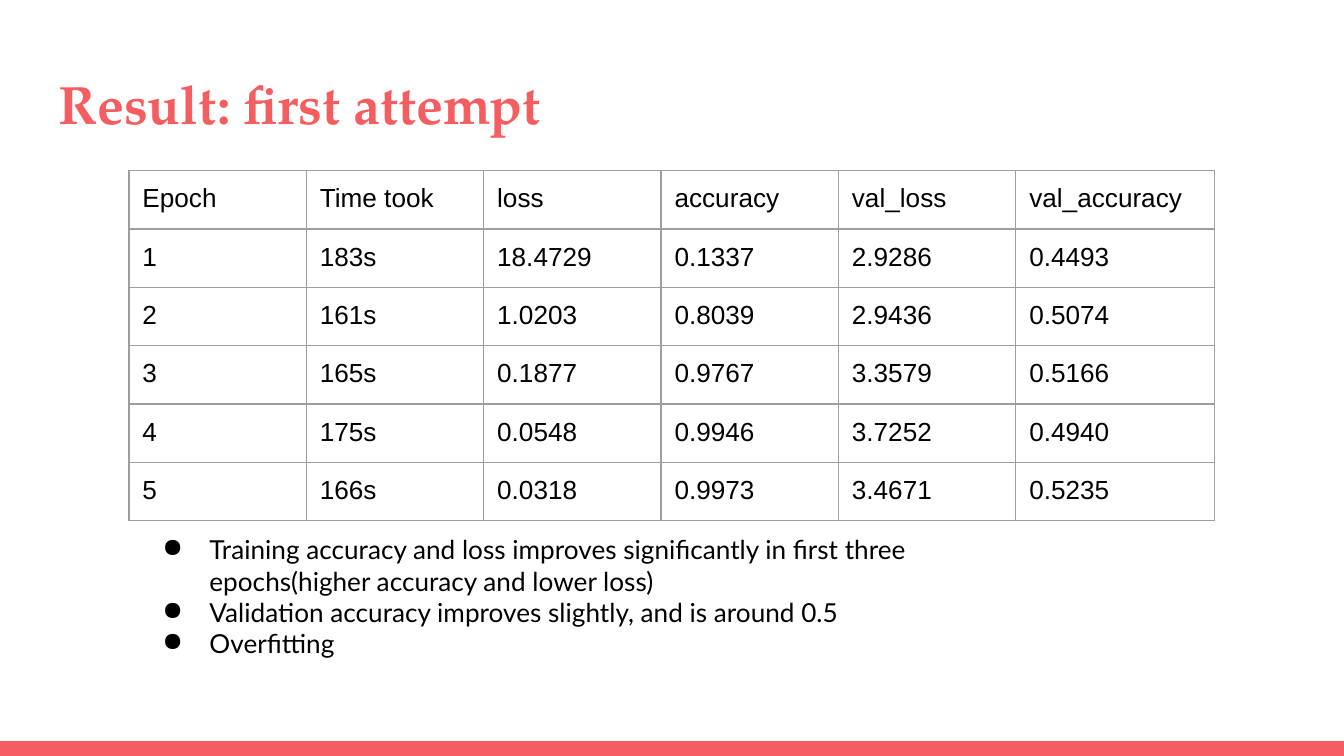
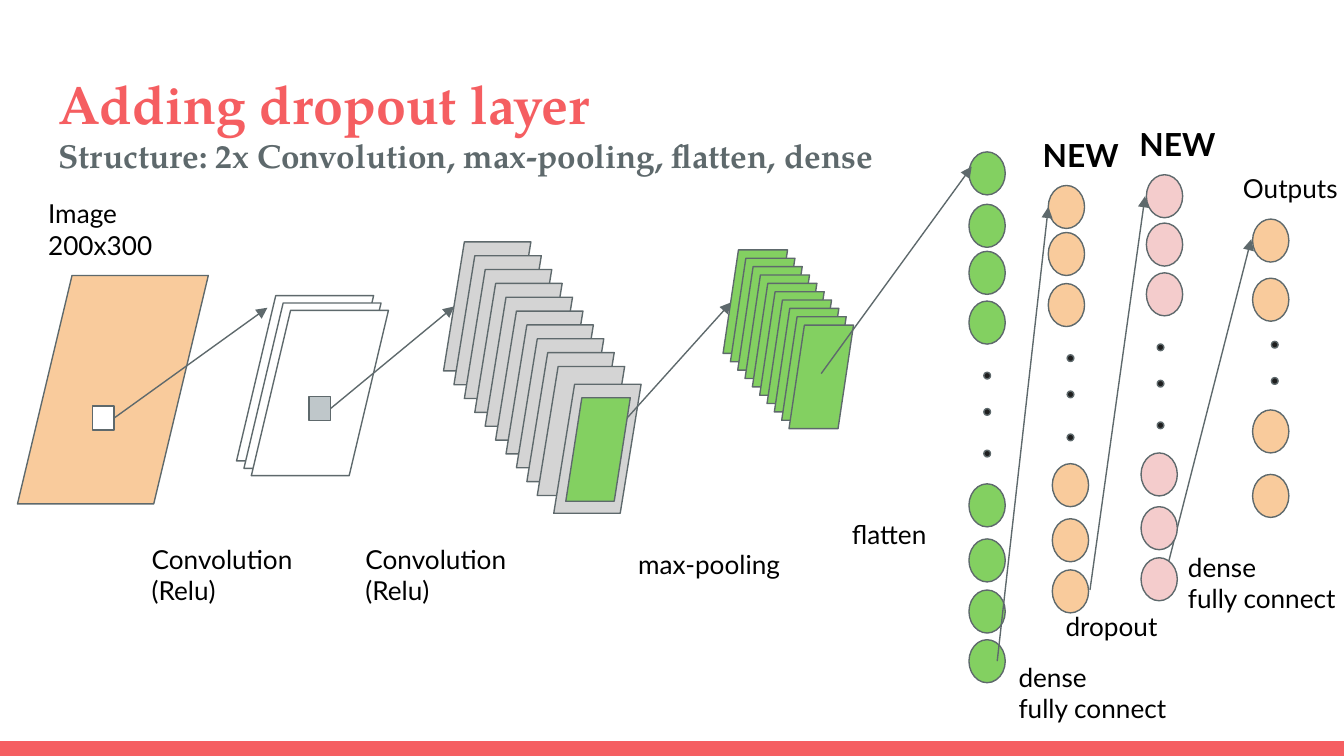
from dataclasses import dataclass

from lxml import etree
from pptx import Presentation
from pptx.dml.color import RGBColor
from pptx.enum.shapes import MSO_CONNECTOR, MSO_SHAPE
from pptx.oxml.ns import qn
from pptx.util import Inches, Pt

RECT = MSO_SHAPE.RECTANGLE
ELLIPSE = MSO_SHAPE.OVAL
PARALLELOGRAM = MSO_SHAPE.PARALLELOGRAM
STRAIGHT = MSO_CONNECTOR.STRAIGHT
RIGHT_SIDE = 3

CORAL = RGBColor(0xF5, 0x5E, 0x61)
SLATE = RGBColor(0x5E, 0x69, 0x6C)
BLACK = RGBColor(0, 0, 0)
WHITE = RGBColor(0xFF, 0xFF, 0xFF)
INK = RGBColor(0x1E, 0x1E, 0x1E)
SILVER = RGBColor(0xD4, 0xD4, 0xD4)
MIST = RGBColor(0xBF, 0xC7, 0xCA)
GREEN = RGBColor(0x83, 0xD0, 0x61)
ORANGE = RGBColor(0xF9, 0xCB, 0x9C)
PINK = RGBColor(0xF4, 0xCC, 0xCC)
BORDER = RGBColor(0x9E, 0x9E, 0x9E)

TITLE_FONT, BODY_FONT, TABLE_FONT = "TeX Gyre Pagella", "Lato", "Arial"
SLIDE_WIDTH = 10
SLIDE_HEIGHT = SLIDE_WIDTH * 9 / 16
BAND_HEIGHT = 0.11
TITLE_BOX = (0.34, 0.43, 9.32, 0.68)
INSET = Inches(0.1)
BODY_SIZE = 14
NODE_WIDTH, NODE_HEIGHT, DOT = 0.27, 0.32, 0.05

RESULTS = [
    ("Epoch", "Time took", "loss", "accuracy", "val_loss", "val_accuracy"),
    ("1", "183s", "18.4729", "0.1337", "2.9286", "0.4493"),
    ("2", "161s", "1.0203", "0.8039", "2.9436", "0.5074"),
    ("3", "165s", "0.1877", "0.9767", "3.3579", "0.5166"),
    ("4", "175s", "0.0548", "0.9946", "3.7252", "0.4940"),
    ("5", "166s", "0.0318", "0.9973", "3.4671", "0.5235"),
]
COLUMN_WIDTHS = (1.32, 1.32, 1.32, 1.32, 1.32, 1.48)
FINDINGS = [
    "Training accuracy and loss improves significantly in first three "
    "epochs(higher accuracy and lower loss)",
    "Validation accuracy improves slightly, and is around 0.5",
    "Overfitting",
]


@dataclass
class Layer:
    """A column of neurons; offsets count from its first neuron."""
    left: float
    top: float
    fill: RGBColor
    upper: tuple
    dots: tuple
    lower: tuple
    dot_shift: float
    lower_shift: float
    arrow_from: tuple
    arrow_to: tuple


# Drawn in this order so that each arrow starts behind or before its neuron.
LAYERS = [
    Layer(7.21, 1.13, GREEN, (0, 0.39, 0.74, 1.11), (1.64, 1.91, 2.22),
          (2.47, 2.88, 3.26, 3.63), 0.11, 0, (6.11, 2.78), (7.23, 1.24)),
    Layer(9.32, 1.63, ORANGE, (0, 0.44), (0.91, 1.18),
          (1.42, 1.9), 0.14, 0, (8.67, 4.28), (9.31, 1.78)),
    Layer(8.53, 1.3, PINK, (0, 0.36, 0.73), (1.26, 1.53, 1.84),
          (2.07, 2.47, 2.85), 0.08, -0.04, (8.11, 4.39), (8.52, 1.46)),
    Layer(7.8, 1.38, ORANGE, (0, 0.35, 0.73), (1.26, 1.53, 1.85),
          (2.07, 2.48, 2.86), 0.14, 0.03, (7.42, 4.92), (7.8, 1.54)),
]

LABELS = [
    (["Image 200x300"], (0.26, 1.37, 1.42, 0.67)),
    (["Convolution", "(Relu)"], (1.03, 3.94, 1.42, 0.67)),
    (["Convolution", "(Relu)"], (2.62, 3.94, 1.42, 0.67)),
    (["max-pooling"], (4.65, 3.98, 1.42, 0.44)),
    (["flatten"], (6.24, 3.76, 1.42, 0.44)),
    (["dense", "fully connect"], (7.48, 4.82, 1.42, 0.67)),
    (["dropout"], (7.83, 4.44, 1.13, 0.44)),
    (["dense", "fully connect"], (8.74, 4, 1.42, 0.67)),
    (["Outputs"], (9.15, 1.18, 1.36, 1.14)),
]
NEW_BADGES = [(7.66, 0.91, 0.86, 0.49), (8.38, 0.83, 0.86, 0.49)]


def inches(box):
    return [Inches(value) for value in box]


def set_font(text, name, size, color=BLACK, bold=False):
    """Set the font of a paragraph or a run."""
    font = text.font
    font.name, font.size, font.bold = name, Pt(size), bold
    font.color.rgb = color


def add_text(slide, box, lines, font=BODY_FONT, size=BODY_SIZE, color=BLACK, bold=False):
    frame = slide.shapes.add_textbox(*inches(box)).text_frame
    frame.word_wrap = True
    frame.margin_left = frame.margin_right = INSET
    frame.margin_top = frame.margin_bottom = INSET
    frame.text = "\n".join(lines)
    for paragraph in frame.paragraphs:
        set_font(paragraph, font, size, color, bold)
    return frame


def add_block(slide, kind, box, fill, slant=None, outlined=True):
    block = slide.shapes.add_shape(kind, *inches(box))
    block.shadow.inherit = False
    block.fill.solid()
    block.fill.fore_color.rgb = fill
    if outlined:
        block.line.color.rgb = SLATE
        block.line.width = Pt(0.75)
    else:
        block.line.fill.background()
    if slant is not None:
        block.adjustments[0] = slant
    return block


def add_arrow(slide, start, end, source=None):
    """Draw an arrow, joined to the right side of source if one is given."""
    arrow = slide.shapes.add_connector(STRAIGHT, *inches(start + end))
    if source is not None:
        arrow.begin_connect(source, RIGHT_SIDE)
    arrow.line.color.rgb = SLATE
    arrow.line.width = Pt(0.75)
    etree.SubElement(arrow.line._get_or_add_ln(), qn("a:tailEnd"), type="triangle")
    etree.SubElement(arrow._element.spPr, qn("a:effectLst"))


def add_base_slide(deck, title, subtitle=None):
    """Start a slide with the shared footer band and title."""
    slide = deck.slides.add_slide(deck.slide_layouts[6])
    band = (0, SLIDE_HEIGHT - BAND_HEIGHT, SLIDE_WIDTH, BAND_HEIGHT)
    add_block(slide, RECT, band, CORAL, outlined=False)
    lines = [title] if subtitle is None else [title, subtitle]
    frame = add_text(slide, TITLE_BOX, lines, TITLE_FONT, 28.8, CORAL, True)
    if subtitle is not None:
        set_font(frame.paragraphs[1], TITLE_FONT, 17.8, SLATE, True)
    return slide


def style_cell(cell, text):
    cell.text = text
    cell.margin_left = cell.margin_right = INSET
    cell.margin_top = cell.margin_bottom = INSET
    # The row height follows the font of the run.
    set_font(cell.text_frame.paragraphs[0].runs[0], TABLE_FONT, BODY_SIZE)
    cell.fill.background()
    properties = cell._tc.get_or_add_tcPr()
    for position, side in enumerate(("a:lnL", "a:lnR", "a:lnT", "a:lnB")):
        edge = etree.Element(qn(side), w=str(Pt(0.75)))
        fill = etree.SubElement(edge, qn("a:solidFill"))
        etree.SubElement(fill, qn("a:srgbClr"), val=str(BORDER))
        properties.insert(position, edge)


def add_results_table(slide, box):
    table = slide.shapes.add_table(len(RESULTS), len(COLUMN_WIDTHS), *inches(box)).table
    table.first_row = table.horz_banding = False
    for column, width in zip(table.columns, COLUMN_WIDTHS):
        column.width = Inches(width)
    for row, values in enumerate(RESULTS):
        for column, value in enumerate(values):
            style_cell(table.cell(row, column), value)


def add_findings(slide, box):
    for paragraph in add_text(slide, box, FINDINGS).paragraphs:
        # The bullet takes its size from the run.
        set_font(paragraph.runs[0], BODY_FONT, BODY_SIZE)
        properties = paragraph._p.get_or_add_pPr()
        properties.set("marL", str(Inches(0.5)))
        properties.set("indent", str(Inches(-0.35)))
        color = etree.Element(qn("a:buClr"))
        etree.SubElement(color, qn("a:srgbClr"), val=str(BLACK))
        properties.insert(0, color)
        properties.insert(1, etree.Element(qn("a:buChar"), char="●"))


def add_stack(slide, box, count, step, fill, slant):
    """Draw count feature maps, each one step right and down of the last."""
    left, top, width, height = box
    for index in range(count):
        place = (left + index * step[0], top + index * step[1], width, height)
        add_block(slide, PARALLELOGRAM, place, fill, slant)


def add_layer(slide, layer):
    neurons = [(0, offset) for offset in layer.upper]
    neurons += [(layer.lower_shift, offset) for offset in layer.lower]
    for shift, offset in neurons:
        place = (layer.left + shift, layer.top + offset, NODE_WIDTH, NODE_HEIGHT)
        add_block(slide, ELLIPSE, place, layer.fill)
    for offset in layer.dots:
        place = (layer.left + layer.dot_shift, layer.top + offset, DOT, DOT)
        add_block(slide, ELLIPSE, place, INK)
    add_arrow(slide, layer.arrow_from, layer.arrow_to)


def add_convolutions(slide, left, top):
    """Draw the input image, the feature maps and the pooled maps."""
    def at(x, y, *size):
        return (left + x, top + y, *size)

    add_block(slide, PARALLELOGRAM, at(0, 0.25, 1.42, 1.7), ORANGE, 0.286)
    add_stack(slide, at(1.63, 0.4, 1.02, 1.23), 3, (0.055, 0.055), WHITE, 0.286)
    add_stack(slide, at(3.17, 0, 0.65, 0.96), 10, (0.0775, 0.103), SILVER, 0.239)
    add_block(slide, PARALLELOGRAM, at(3.99, 1.06, 0.65, 0.96), SILVER, 0.239)
    add_stack(slide, at(5.25, 0.06, 0.48, 0.77), 10, (0.0545, 0.0622), GREEN, 0.239)

    image_window = add_block(slide, RECT, at(0.56, 1.22, 0.16, 0.18), WHITE)
    map_window = add_block(slide, RECT, at(2.17, 1.15, 0.16, 0.18), MIST)
    add_arrow(slide, at(0.72, 1.31), at(1.86, 0.49), image_window)
    add_arrow(slide, at(2.33, 1.24), at(3.25, 0.48), map_window)
    add_arrow(slide, at(4.32, 1.55), at(5.31, 0.45))
    add_block(slide, PARALLELOGRAM, at(4.08, 1.16, 0.48, 0.77), GREEN, 0.249)


def build_results_slide(deck):
    slide = add_base_slide(deck, "Result: first attempt")
    add_results_table(slide, (0.96, 1.27, sum(COLUMN_WIDTHS), 2.51))
    add_findings(slide, (0.96, 3.87, 6.75, 1.14))


def build_dropout_slide(deck):
    slide = add_base_slide(deck, "Adding dropout layer",
                           "Structure: 2x Convolution, max-pooling, flatten, dense")
    add_convolutions(slide, 0.13, 1.8)
    for layer in LAYERS:
        add_layer(slide, layer)
    for lines, box in LABELS:
        add_text(slide, box, lines)
    for box in NEW_BADGES:
        add_text(slide, box, ["NEW"], size=17, bold=True)


def main():
    deck = Presentation()
    deck.slide_width, deck.slide_height = Inches(SLIDE_WIDTH), Inches(SLIDE_HEIGHT)
    build_results_slide(deck)
    build_dropout_slide(deck)
    deck.save("out.pptx")


if __name__ == "__main__":
    main()
